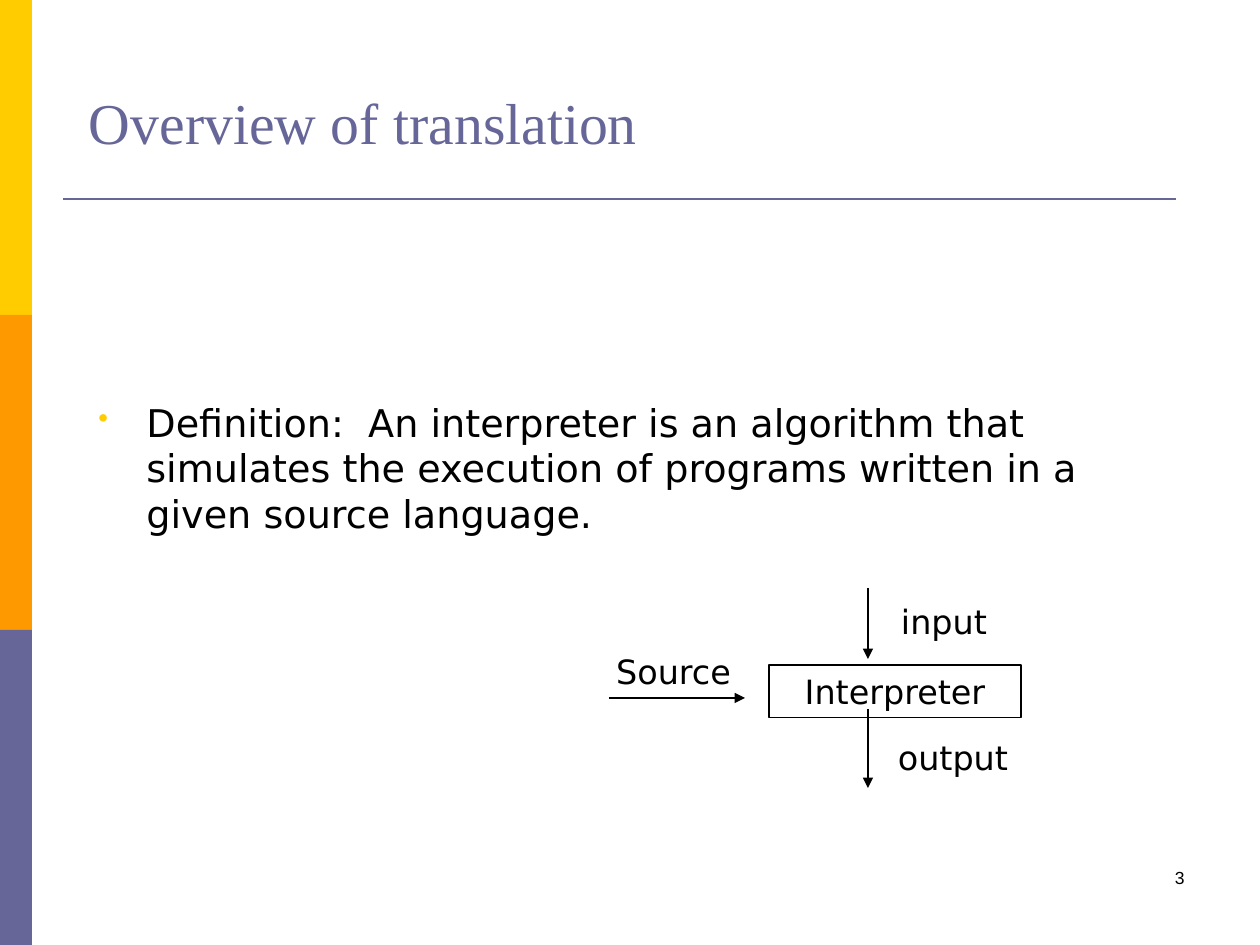
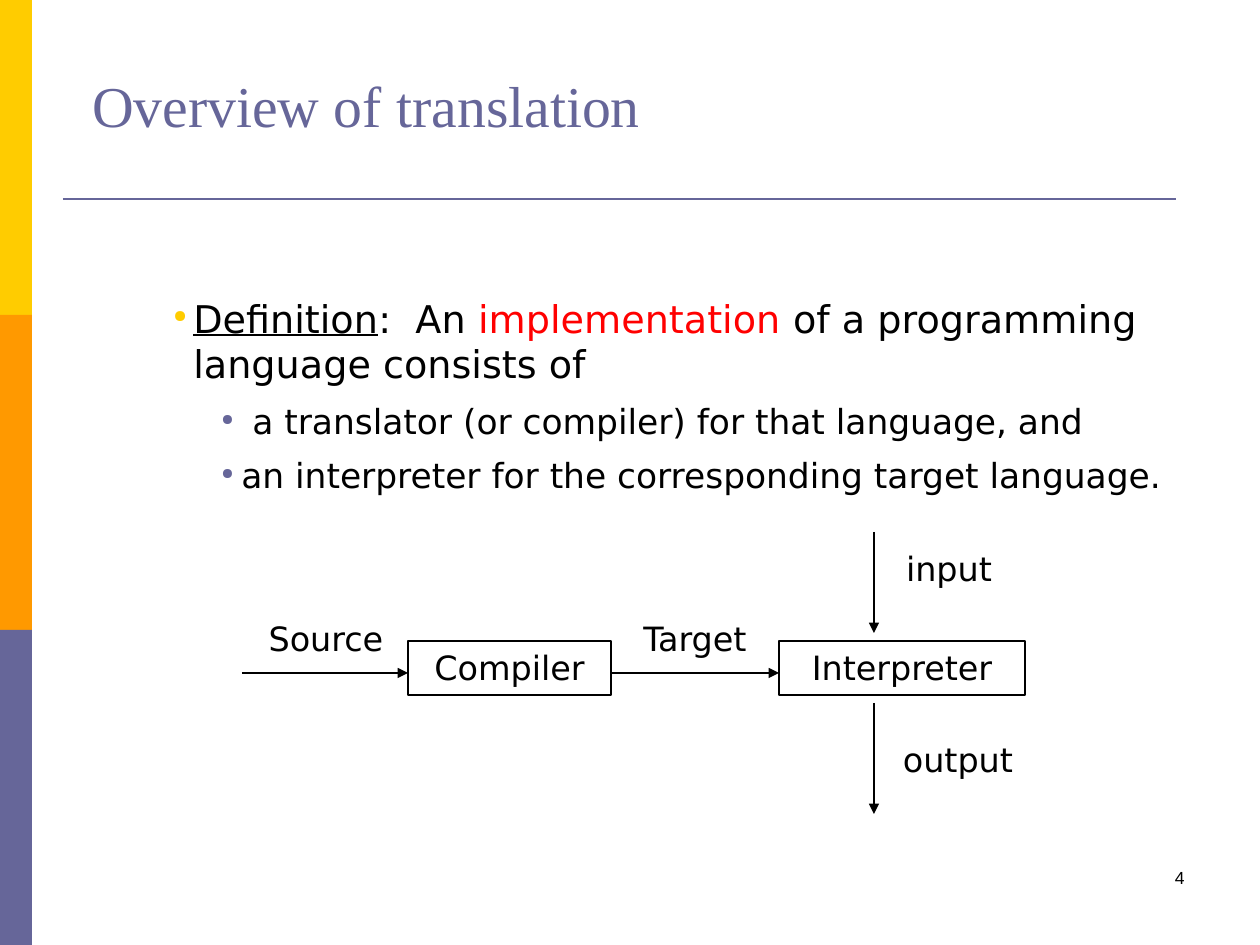
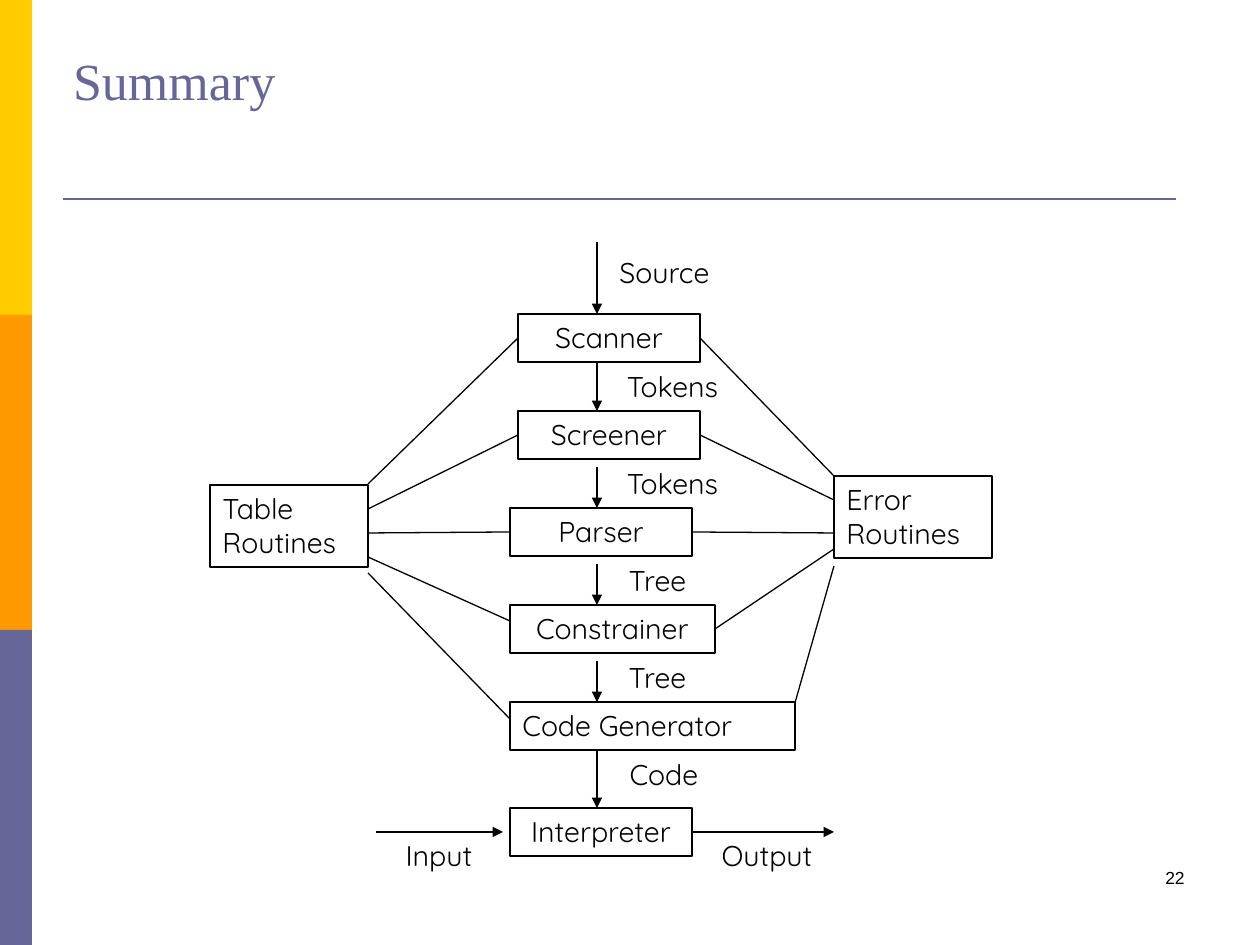
import lxml.etree
import pptx
import pptx.dml.color
import pptx.enum.shapes
import pptx.enum.text
import pptx.oxml.ns
import pptx.util

PX = 7257  # EMU in one px, 126 px to the inch
COLORS = {"yellow": "FFCC00", "orange": "FF9900", "violet": "666699", "black": "000000", "red": "FF0000"}
TITLE_SIZE = (941, 118)
BANDS = ("yellow", "orange", "violet")
BAND_SIZE = (32, 315)
NUMBER_FRAME = (903, 861, 294, 63)
LEFT = pptx.enum.text.PP_ALIGN.LEFT
CENTER = pptx.enum.text.PP_ALIGN.CENTER
RIGHT = pptx.enum.text.PP_ALIGN.RIGHT
qn = pptx.oxml.ns.qn


def write(para, text, font="DejaVu Sans", size=19.1, color="black", underline=False, align=LEFT):
    para.alignment = align
    span = para.add_run()
    span.text = text
    span.font.name = font
    span.font.size = pptx.util.Pt(size)
    span.font.underline = underline
    span.font.color.rgb = pptx.dml.color.RGBColor.from_string(COLORS[color])


def connect(page, boxes, start, end, arrow=True, color="black", width=0.75):
    """Draw a line; each end is an (x, y) point or a (box name, side) pair."""
    line = page.shapes.add_connector(pptx.enum.shapes.MSO_CONNECTOR.STRAIGHT, 0, 0, 0, 0)
    if start[0] in boxes:
        line.begin_connect(boxes[start[0]], start[1])
    else:
        line.begin_x, line.begin_y = start[0] * PX, start[1] * PX
    if end[0] in boxes:
        line.end_connect(boxes[end[0]], end[1])
    else:
        line.end_x, line.end_y = end[0] * PX, end[1] * PX
    line.line.color.rgb = pptx.dml.color.RGBColor.from_string(COLORS[color])
    line.line.width = pptx.util.Pt(width)
    if arrow:
        lxml.etree.SubElement(line.line._get_or_add_ln(), qn("a:tailEnd"), type="triangle")
    lxml.etree.SubElement(line._element.spPr, qn("a:effectLst"))


# Body paragraphs: indent, hanging, bullet, bullet colour, bullet percent, size, spans
interpreter_slide = {
    "title": "Overview of translation", "title_at": (89, 38), "title_size": 33, "title_gap": 0,
    "number": "3", "font": "DejaVu Sans", "size": 19.1,
    "body_frame": (86, 284, 1099, 549), "body_gap": 115,
    "body": [
        (48, 48, "•", "yellow", 75, 21.8, [
            ("Definition:  An interpreter is an algorithm that simulates the execution of "
             "programs written in a given source language.", {})]),
    ],
    "boxes": [("Interpreter", 769, 665, 252, 53, CENTER)],
    "labels": [
        ("Source", 588, 645, 171, 53),
        ("input", 868, 595, 152, 53),
        ("output", 877, 731, 152, 93),
    ],
    "arrows": [((609, 698), (745, 698)), ((868, 588), (868, 659)), ((868, 709), (868, 788))],
    "lines": [],
}

implementation_slide = {
    "title": "Overview of translation", "title_at": (92, 21), "title_size": 33, "title_gap": 0,
    "number": "4", "font": "DejaVu Sans", "size": 19.1,
    "body_frame": (161, 252, 1099, 549), "body_gap": 43,
    "body": [
        (20, 20, "●", "yellow", 45, 21.8, [
            ("Definition", {"underline": True}),
            (":  An ", {}),
            ("implementation ", {"color": "red"}),
            ("of a programming language consists of", {})]),
        (68, 20, "●", "violet", 45, 19.7, [(" a translator (or compiler) for that language, and", {})]),
        (68, 20, "●", "violet", 45, 19.7, [("an interpreter for the corresponding target language.", {})]),
    ],
    "boxes": [("Compiler", 408, 641, 203, 54, CENTER), ("Interpreter", 779, 641, 246, 54, CENTER)],
    "labels": [
        ("Source", 251, 612, 150, 96),
        ("Target", 620, 612, 150, 96),
        ("input", 874, 542, 150, 54),
        ("output", 883, 733, 150, 96),
    ],
    "arrows": [
        ((242, 673), (408, 673)), ((611, 673), (779, 673)),
        ((874, 532), (874, 633)), ((874, 703), (874, 814)),
    ],
    "lines": [],
}

STEP = 97
stages = [
    ("Scanner", 518, 182, CENTER), ("Screener", 518, 182, CENTER), ("Parser", 510, 182, CENTER),
    ("Constrainer", 510, 205, CENTER), ("Code Generator", 510, 285, LEFT),
]
results = [("Tokens", 605, 135), ("Tokens", 605, 135), ("Tree", 590, 135), ("Tree", 590, 135), ("Code", 593, 142)]
flow_spans = [(242, 314), (363, 411), (467, 508), (564, 605), (661, 702), (751, 808)]
table_ends = [
    (484, ("Scanner", 1)), (509, ("Screener", 1)), (533, ("Parser", 1)),
    (557, (510, 621)), (573, (510, 719)),
]
error_ends = [
    (476, ("Scanner", 3)), (500, ("Screener", 3)), (533, ("Parser", 3)),
    (549, ("Constrainer", 3)), (566, (795, 703)),
]
summary_slide = {
    "title": "Summary", "title_at": (73, 53), "title_size": 29.7, "title_gap": 60,
    "number": "22", "font": "Quicksand", "size": 16.3,
    "body": [],
    "boxes": [
        *((name, left, 314 + STEP * row, width, 48, align)
          for row, (name, left, width, align) in enumerate(stages)),
        ("Interpreter", 510, 808, 182, 48, CENTER),
        ("Table Routines", 210, 485, 158, 82, LEFT),
        ("Error Routines", 834, 476, 158, 82, LEFT),
    ],
    "labels": [
        ("Source", 597, 249, 135, 48),
        *((name, left, 363 + STEP * row, width, 48) for row, (name, left, width) in enumerate(results)),
        ("Input", 376, 832, 126, 48),
        ("Output", 692, 832, 150, 48),
    ],
    "arrows": [
        *(((597, top), (597, bottom)) for top, bottom in flow_spans),
        ((376, 832), (503, 832)),
        (("Interpreter", 3), (834, 832)),
    ],
    "lines": [
        *(((368, y), stage) for y, stage in table_ends),
        *(((834, y), stage) for y, stage in error_ends),
    ],
}

deck = pptx.Presentation()
deck.slide_width = pptx.util.Inches(10)
deck.slide_height = pptx.util.Inches(7.5)

for content in (interpreter_slide, implementation_slide, summary_slide):
    page = deck.slides.add_slide(deck.slide_layouts[5])

    for row, color in enumerate(BANDS):
        width, height = BAND_SIZE
        band = page.shapes.add_shape(pptx.enum.shapes.MSO_SHAPE.RECTANGLE,
                                     0, row * height * PX, width * PX, height * PX)
        band.shadow.inherit = False
        band.fill.solid()
        band.fill.fore_color.rgb = pptx.dml.color.RGBColor.from_string(COLORS[color])
        band.line.fill.background()
    connect(page, {}, (63, 199), (1176, 199), arrow=False, color="violet", width=1.5)

    title = page.shapes.title
    title.left, title.top, title.width, title.height = (
        n * PX for n in content["title_at"] + TITLE_SIZE)
    frame = title.text_frame
    frame.auto_size = pptx.enum.text.MSO_AUTO_SIZE.NONE
    frame.vertical_anchor = pptx.enum.text.MSO_ANCHOR.BOTTOM
    frame.margin_left = frame.margin_right = 0
    frame.margin_top = 4 * PX
    frame.margin_bottom = content["title_gap"] * PX
    write(frame.paragraphs[0], content["title"], font="Times New Roman",
          size=content["title_size"], color="violet")

    number = page.shapes.add_textbox(*(n * PX for n in NUMBER_FRAME))
    number.text_frame.word_wrap = True
    write(number.text_frame.paragraphs[0], content["number"], font="Arial", size=10, align=RIGHT)

    if content["body"]:
        body = page.shapes.add_textbox(*(n * PX for n in content["body_frame"]))
        frame = body.text_frame
        frame.word_wrap = True
        frame.margin_top = content["body_gap"] * PX
        frame.margin_right = frame.margin_bottom = 0
        for row, (indent, hanging, bullet, color, percent, size, spans) in enumerate(content["body"]):
            para = frame.add_paragraph() if row else frame.paragraphs[0]
            para.space_before = pptx.util.Pt(7.5 if row else 0)
            for text, style in spans:
                write(para, text, size=size, **style)
            layout = para._p.get_or_add_pPr()
            layout.set("marL", str(indent * PX))
            layout.set("indent", str(-hanging * PX))
            bullet_color = lxml.etree.SubElement(layout, qn("a:buClr"))
            lxml.etree.SubElement(bullet_color, qn("a:srgbClr"), val=COLORS[color])
            lxml.etree.SubElement(layout, qn("a:buSzPct"), val=str(percent * 1000))
            lxml.etree.SubElement(layout, qn("a:buChar"), char=bullet)

    boxes = {}
    for name, left, top, width, height, align in content["boxes"]:
        box = page.shapes.add_shape(pptx.enum.shapes.MSO_SHAPE.RECTANGLE,
                                    left * PX, top * PX, width * PX, height * PX)
        box.shadow.inherit = False
        box.fill.background()
        box.line.color.rgb = pptx.dml.color.RGBColor.from_string(COLORS["black"])
        box.line.width = pptx.util.Pt(0.75)
        box.text_frame.word_wrap = True
        box.text_frame.vertical_anchor = pptx.enum.text.MSO_ANCHOR.TOP
        write(box.text_frame.paragraphs[0], name, font=content["font"], size=content["size"], align=align)
        boxes[name] = box

    for text, left, top, width, height in content["labels"]:
        label = page.shapes.add_textbox(left * PX, top * PX, width * PX, height * PX)
        label.text_frame.word_wrap = True
        write(label.text_frame.paragraphs[0], text, font=content["font"], size=content["size"], align=CENTER)

    for start, end in content["arrows"]:
        connect(page, boxes, start, end)
    for start, end in content["lines"]:
        connect(page, boxes, start, end, arrow=False)

deck.save("out.pptx")
